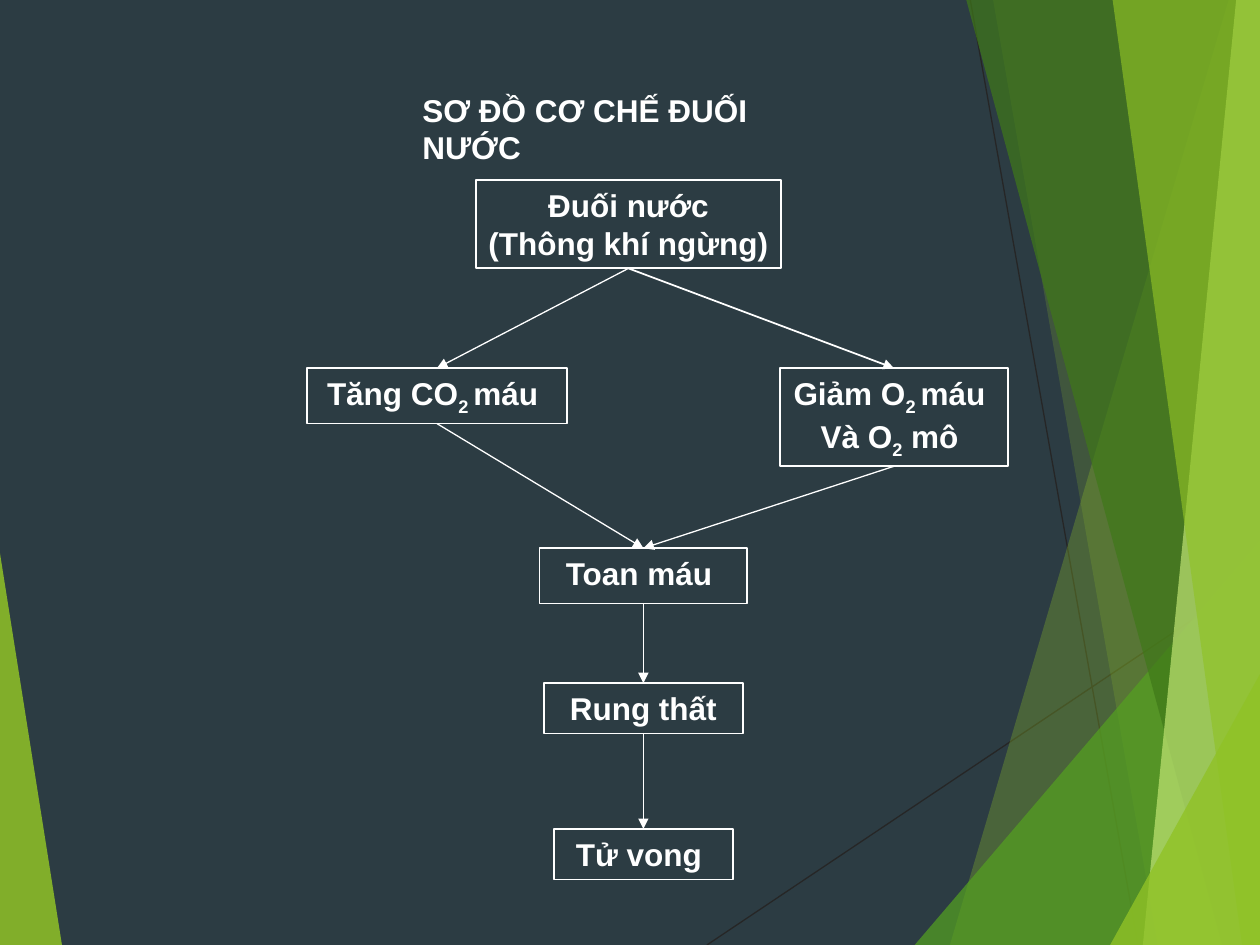
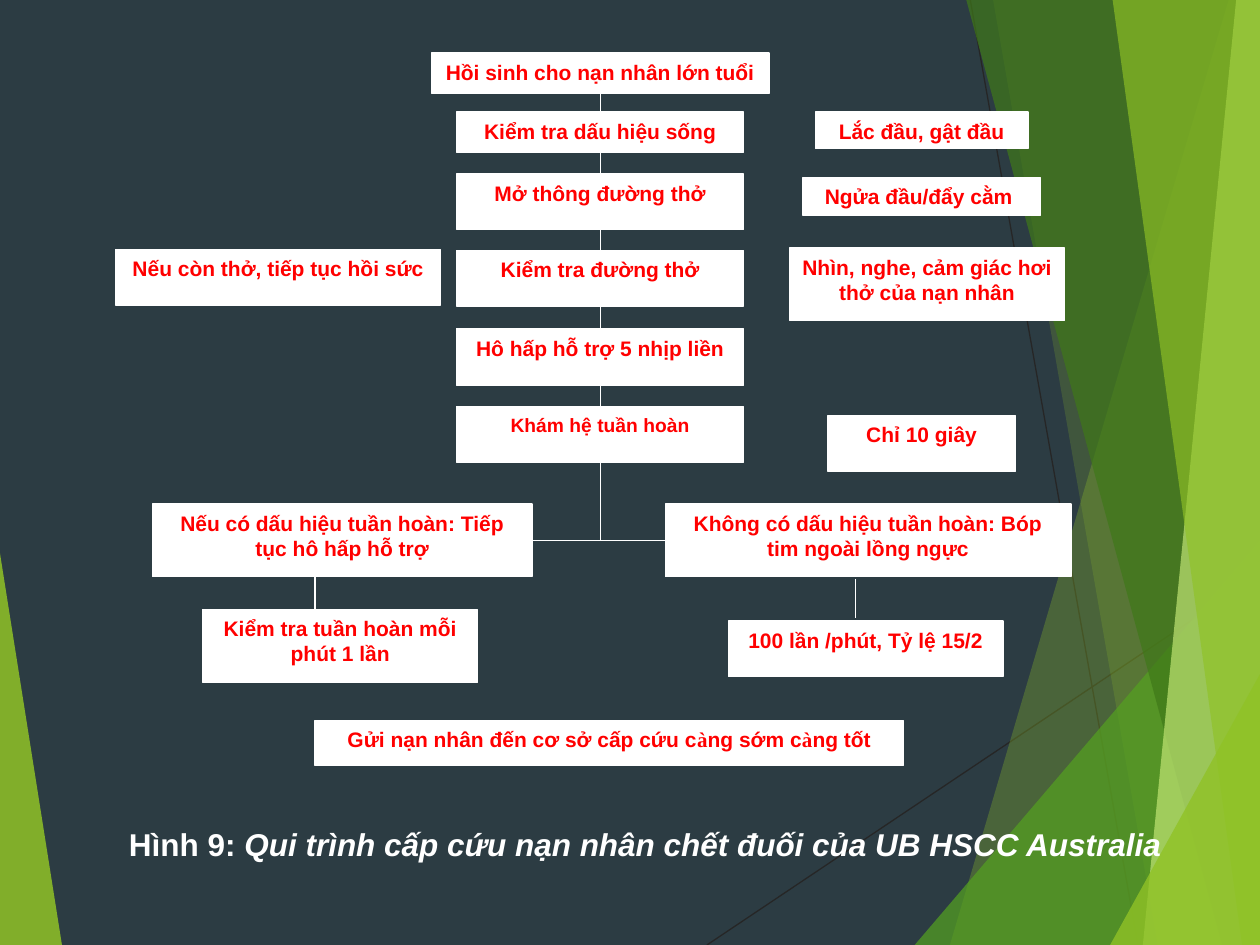
from lxml.etree import SubElement
from pptx import Presentation
from pptx.dml.color import RGBColor
from pptx.enum.shapes import MSO_CONNECTOR, MSO_SHAPE
from pptx.enum.text import MSO_ANCHOR, MSO_AUTO_SIZE, PP_ALIGN
from pptx.oxml.ns import qn
from pptx.util import Cm, Pt

# Shared look
BACKGROUND = RGBColor(0x2C, 0x3C, 0x43)
WHITE = RGBColor(0xFF, 0xFF, 0xFF)
RED = RGBColor(0xFF, 0x00, 0x00)
CHARCOAL = RGBColor(0x26, 0x26, 0x26)
LIME = RGBColor(0x90, 0xC2, 0x26)
GREEN = RGBColor(0x54, 0xA0, 0x21)
DARK_GREEN = RGBColor(0x3F, 0x78, 0x19)
PALE_GREEN = RGBColor(0xC0, 0xE4, 0x74)
FONT = "Arial"
SERIF_FONT = "Times New Roman"
WIDTH, HEIGHT = 25.4, 19.05
TOP, LEFT, BOTTOM, RIGHT = range(4)


def write_text(shape, paragraphs, size, color, alignment, anchor, wrap):
    """Fill a shape; a run is a string or a (string, style) pair."""
    frame = shape.text_frame
    frame.auto_size = MSO_AUTO_SIZE.NONE
    frame.word_wrap = wrap
    frame.vertical_anchor = anchor
    for index, runs in enumerate(paragraphs):
        paragraph = frame.add_paragraph() if index else frame.paragraphs[0]
        paragraph.alignment = alignment
        for item in runs:
            text, style = item if isinstance(item, tuple) else (item, "")
            run = paragraph.add_run()
            run.text = text
            run.font.name = SERIF_FONT if style == "serif" else FONT
            run.font.size = Pt(size)
            run.font.bold = True
            run.font.italic = style == "italic"
            run.font.color.rgb = color
            if style == "subscript":
                run.font._element.set("baseline", "-25000")


def add_line(slide, begin, end, color=WHITE, width=0.75, arrow=False):
    """Draw a line; each end is an (x, y) point or a (shape, side) pair."""
    joined = [not isinstance(place[0], (int, float)) for place in (begin, end)]
    points = [(0, 0) if join else place for join, place in zip(joined, (begin, end))]
    line = slide.shapes.add_connector(
        MSO_CONNECTOR.STRAIGHT, *[Cm(value) for point in points for value in point])
    if joined[0]:
        line.begin_connect(*begin)
    if joined[1]:
        line.end_connect(*end)
    line.line.color.rgb = color
    line.line.width = Pt(width)
    if arrow:
        SubElement(line.line._get_or_add_ln(), qn("a:tailEnd"), type="triangle")
    SubElement(line._element.spPr, qn("a:effectLst"))
    return line


presentation = Presentation()
presentation.slide_width = Cm(WIDTH)
presentation.slide_height = Cm(HEIGHT)
master = presentation.slide_master
master.background.fill.solid()
master.background.fill.fore_color.rgb = BACKGROUND
title_only = presentation.slide_layouts[5]
mechanism_slide = presentation.slides.add_slide(title_only)
rescue_slide = presentation.slides.add_slide(title_only)

# Backdrop: two thin lines and translucent facets, moved to the master
backdrop = [
    add_line(mechanism_slide, (14.25, HEIGHT), (WIDTH, 11.58), CHARCOAL),
    add_line(mechanism_slide, (19.56, 0), (22.94, HEIGHT), CHARCOAL),
]
right_edge = [(WIDTH, HEIGHT), (WIDTH, 0)]
facets = [
    ([(0, 11.15), (1.25, HEIGHT), (0, HEIGHT)], LIME, 85),
    ([(24.77, 0), (19.15, HEIGHT)] + right_edge, LIME, 30),
    ([(20.02, 0), (23.34, HEIGHT)] + right_edge, LIME, 20),
    ([(18.44, HEIGHT), (WIDTH, 10.9), (WIDTH, HEIGHT)], GREEN, 72),
    ([(19.48, 0), (24.64, HEIGHT)] + right_edge, DARK_GREEN, 70),
    ([(24.92, 0), (23.04, HEIGHT)] + right_edge, PALE_GREEN, 70),
    ([(22.43, 0), (25.04, HEIGHT)] + right_edge, LIME, 65),
    ([(22.38, HEIGHT), (WIDTH, 13.59), (WIDTH, HEIGHT)], LIME, 80),
]
for points, color, opacity in facets:
    corners = [(Cm(x), Cm(y)) for x, y in points]
    builder = mechanism_slide.shapes.build_freeform(*corners[0])
    builder.add_line_segments(corners[1:], close=True)
    facet = builder.convert_to_shape()
    facet.shadow.inherit = False
    facet.fill.solid()
    facet.fill.fore_color.rgb = color
    color_element = facet._element.spPr.find(qn("a:solidFill"))[0]
    SubElement(color_element, qn("a:alpha"), val=str(opacity * 1000))
    facet.line.fill.background()
    backdrop.append(facet)
for index, shape in enumerate(backdrop):
    shape._element.xpath(".//p:cNvPr")[0].set("id", str(100 + index))
    master.shapes._spTree.insert(2 + index, shape._element)

# Titles
titles = [
    (mechanism_slide, (8.26, 1.7, 9.22, 1.02), PP_ALIGN.LEFT, MSO_ANCHOR.TOP,
     ["SƠ ĐỒ CƠ CHẾ ĐUỐI NƯỚC"]),
    (rescue_slide, (2.34, 16.51, 21.34, 1.02), PP_ALIGN.CENTER, MSO_ANCHOR.MIDDLE,
     ["Hình 9: ",
      ("Qui trình cấp cứu nạn nhân chết đuối của UB HSCC Australia", "italic")]),
]
for slide, place, alignment, anchor, runs in titles:
    title = slide.shapes.title
    title.left, title.top, title.width, title.height = [Cm(value) for value in place]
    write_text(title, [runs], 18, WHITE, alignment, anchor, False)

# Boxes: name, centre x, top, width, height, text size, paragraphs
MECHANISM_AXIS = 12.97
mechanism_boxes = [
    ("drowning", 12.67, 3.63, 6.15, 1.78, 18, [["Đuối nước"], ["(Thông khí ngừng)"]]),
    ("low oxygen", 18.02, 7.42, 4.6, 1.98, 18,
     [["Giảm O", ("2 ", "subscript"), "máu "], ["Và O", ("2", "subscript"), " mô "]]),
    ("high carbon dioxide", 8.81, 7.42, 5.23, 1.12, 18,
     [["Tăng CO", ("2 ", "subscript"), "máu "]]),
    ("acidosis", MECHANISM_AXIS, 11.05, 4.19, 1.12, 18, [["Toan máu "]]),
    ("fibrillation", MECHANISM_AXIS, 13.77, 4.01, 1.02, 18, [["Rung thất"]]),
    ("death", MECHANISM_AXIS, 16.71, 3.61, 1.02, 18, [["Tử vong "]]),
]
RESCUE_AXIS = 12.1
rescue_boxes = [
    ("start", RESCUE_AXIS, 1.07, 6.81, 0.81, 12, [["Hồi sinh cho nạn nhân lớn tuổi"]]),
    ("life signs", RESCUE_AXIS, 2.26, 5.79, 0.81, 12, [["Kiểm tra dấu hiệu sống"]]),
    ("open airway", RESCUE_AXIS, 3.51, 5.79, 1.12, 12, [["Mở thông đường thở"]]),
    ("check airway", RESCUE_AXIS, 5.05, 5.79, 1.12, 12, [["Kiểm tra đường thở"]]),
    ("five breaths", RESCUE_AXIS, 6.63, 5.79, 1.14, 12, [["Hô hấp hỗ trợ 5 nhịp liền"]]),
    ("circulation", RESCUE_AXIS, 8.2, 5.79, 1.12, 11, [["Khám hệ tuần hoàn"]]),
    ("shake", 18.58, 2.26, 4.29, 0.74, 12, [["Lắc đầu, gật đầu"]]),
    ("tilt", 18.58, 3.58, 4.78, 0.76, 12, [["Ngửa đầu/đẩy cằm "]]),
    ("look and listen", 18.69, 5, 5.54, 1.47, 12,
     [["Nhìn, nghe, cảm giác hơi thở của nạn nhân"]]),
    ("ten seconds", 18.58, 8.38, 3.78, 1.12, 12, [["Chỉ 10 giây"]]),
    ("pulse", 6.9, 10.16, 7.65, 1.47, 12,
     [["Nếu có dấu hiệu tuần hoàn: Tiếp tục hô hấp hỗ trợ"]]),
    ("no pulse", 17.5, 10.16, 8.18, 1.47, 12,
     [["Không có dấu hiệu tuần hoàn: Bóp tim ngoài lồng ngực"]]),
    ("recheck", 6.86, 12.29, 5.54, 1.47, 12, [["Kiểm tra tuần hoàn mỗi phút 1 lần"]]),
    ("rate", 17.45, 12.52, 5.54, 1.12, 12, [["100 lần /phút, Tỷ lệ 15/2"]]),
    ("transfer", 12.28, 14.53, 11.86, 0.91, 12,
     [["Gửi nạn nhân đến cơ sở cấp cứu c", ("à", "serif"), "ng sớm c", ("à", "serif"),
       "ng tốt"]]),
    ("breathing", 5.61, 5.03, 6.55, 1.12, 12, [["Nếu còn thở, tiếp tục hồi sức"]]),
]
boxes = {}
for slide, rows, filled, text_color, line_width in [
    (mechanism_slide, mechanism_boxes, False, WHITE, 1),
    (rescue_slide, rescue_boxes, True, RED, 0.75),
]:
    for name, centre, top, width, height, size, paragraphs in rows:
        box = slide.shapes.add_shape(
            MSO_SHAPE.RECTANGLE, Cm(centre - width / 2), Cm(top), Cm(width), Cm(height))
        box.shadow.inherit = False
        if filled:
            box.fill.solid()
            box.fill.fore_color.rgb = WHITE
        else:
            box.fill.background()
        box.line.color.rgb = WHITE
        box.line.width = Pt(line_width)
        write_text(box, paragraphs, size, text_color, PP_ALIGN.CENTER, MSO_ANCHOR.TOP, filled)
        boxes[name] = box

# Mechanism arrows
for source, target, width in [
    ("drowning", "low oxygen", 1),
    ("drowning", "high carbon dioxide", 0.75),
    ("high carbon dioxide", "acidosis", 0.75),
    ("low oxygen", "acidosis", 0.75),
    ("acidosis", "fibrillation", 0.75),
    ("fibrillation", "death", 0.75),
]:
    add_line(mechanism_slide, (boxes[source], BOTTOM), (boxes[target], TOP),
             width=width, arrow=True)

# Rescue lines: the central column, then the fork and its branches
column = [row[0] for row in rescue_boxes[:6]]
for upper, lower in zip(column, column[1:]):
    add_line(rescue_slide, (boxes[upper], BOTTOM), (boxes[lower], TOP))
add_line(rescue_slide, (boxes["circulation"], BOTTOM), (RESCUE_AXIS, 10.9))
add_line(rescue_slide, (boxes["pulse"], RIGHT), (boxes["no pulse"], LEFT))
add_line(rescue_slide, (6.35, 11.63), (6.35, 12.29))
add_line(rescue_slide, (17.25, 11.68), (17.25, 12.45))

presentation.save("out.pptx")
